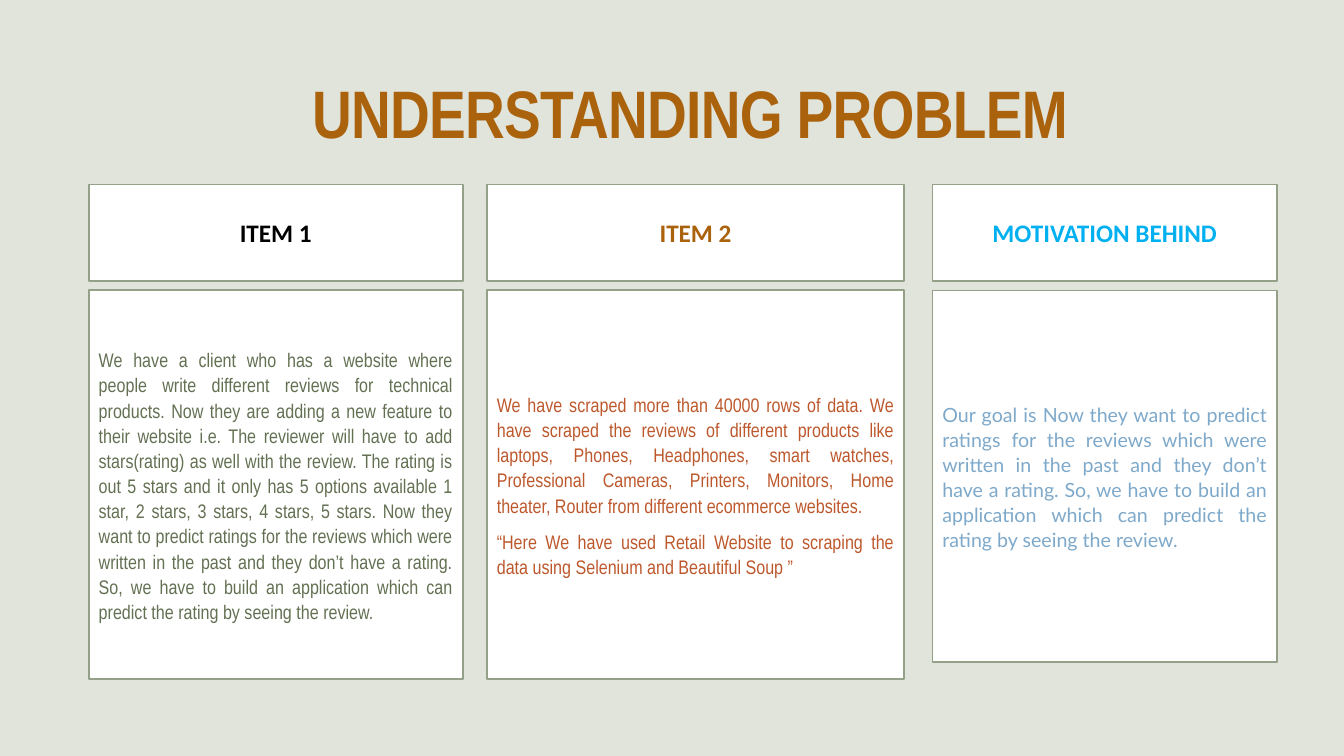
from pptx import Presentation
from pptx.dml.color import RGBColor as Rgb
from pptx.enum.shapes import MSO_SHAPE as Shape
from pptx.enum.text import MSO_ANCHOR as Anchor, PP_ALIGN as Align
from pptx.util import Pt

SAGE = Rgb(0xE0, 0xE4, 0xDB)
WHITE = Rgb(0xFF, 0xFF, 0xFF)
BLACK = Rgb(0, 0, 0)
EDGE = Rgb(0x94, 0xA0, 0x88)
BROWN = Rgb(0xAB, 0x62, 0x0D)
RUST = Rgb(0xBD, 0x58, 0x2C)
OLIVE = Rgb(0x63, 0x70, 0x52)
SKY = Rgb(0x00, 0xB0, 0xF0)
STEEL = Rgb(0x7E, 0xA9, 0xCA)

TOP, HEAD, GAP = 131.8, 69.1, 6.5

COLUMNS = [
    (63.4, 267.1, 277.9, "ITEM 1", BLACK, "Arial Narrow", OLIVE, [
        "We have a client who has a website where people write different "
        "reviews for technical products. Now they are adding a new feature to "
        "their website i.e. The reviewer will have to add stars(rating) as "
        "well with the review. The rating is out 5 stars and it only has 5 "
        "options available 1 star, 2 stars, 3 stars, 4 stars, 5 stars. Now "
        "they want to predict ratings for the reviews which were written in "
        "the past and they don’t have a rating. So, we have to build an "
        "application which can predict the rating by seeing the review."]),
    (347.8, 298.1, 277.9, "ITEM 2", BROWN, "Arial Narrow", RUST, [
        "We have scraped more than 40000 rows of data. We have scraped the "
        "reviews of different products like laptops, Phones, Headphones, "
        "smart watches, Professional Cameras, Printers, Monitors, Home "
        "theater, Router from different ecommerce websites.",
        "“Here We have used Retail Website to scraping the data using "
        "Selenium and Beautiful Soup ”"]),
    (666, 246.2, 265.7, "MOTIVATION BEHIND", SKY, "Lato", STEEL, [
        "Our goal is Now they want to predict ratings for the reviews which "
        "were written in the past and they don’t have a rating. So, we have "
        "to build an application which can predict the rating by seeing the "
        "review."]),
]


def write(frame, lines, face, size, color, align, bold=False, lead=None, after=None):
    """Fill a text frame with evenly styled paragraphs."""
    frame.word_wrap = True
    for i, line in enumerate(lines):
        para = frame.add_paragraph() if i else frame.paragraphs[0]
        para.text = line
        para.alignment = align
        para.line_spacing = lead
        para.space_after = after
        font = para.font
        font.name, font.size, font.bold = face, Pt(size), bold
        font.color.rgb = color


def panel(slide, x, y, w, h):
    """Draw a white bordered box and return its text frame."""
    box = slide.shapes.add_shape(Shape.RECTANGLE, Pt(x), Pt(y), Pt(w), Pt(h))
    box.shadow.inherit = False
    box.fill.solid()
    box.fill.fore_color.rgb = WHITE
    box.line.color.rgb = EDGE
    box.line.width = Pt(1.25)
    box.text_frame.vertical_anchor = Anchor.MIDDLE
    return box.text_frame


def column(slide, x, y, w, h, title, tint, face, color, lines):
    """Place a heading panel with its body panel of height h below."""
    body = panel(slide, x, y + HEAD + GAP, w, h)
    write(body, lines, face, 14, color, Align.JUSTIFY, lead=1.07, after=Pt(8))
    head = panel(slide, x, y, w, HEAD)
    write(head, [title], "Calibri", 18, tint, Align.CENTER, bold=True)


def banner(slide, x, y, w, h):
    """Place the slide title."""
    frame = slide.shapes.add_textbox(Pt(x), Pt(y), Pt(w), Pt(h)).text_frame
    frame.vertical_anchor = Anchor.BOTTOM
    write(frame, ["UNDERSTANDING PROBLEM"], "Arial Narrow", 48, BROWN,
          Align.CENTER, bold=True, lead=0.85)
    run = frame.paragraphs[0].runs[0]
    run.font._element.set("spc", "-50")


def main():
    """Build and save the slide."""
    deck = Presentation()
    deck.slide_width, deck.slide_height = Pt(960), Pt(540)
    slide = deck.slides.add_slide(deck.slide_layouts[6])
    slide.background.fill.solid()
    slide.background.fill.fore_color.rgb = SAGE
    banner(slide, 90, 54.7, 805.7, 57.6)
    for x, w, h, *rest in COLUMNS:
        column(slide, x, TOP, w, h, *rest)
    deck.save("out.pptx")


if __name__ == "__main__":
    main()
